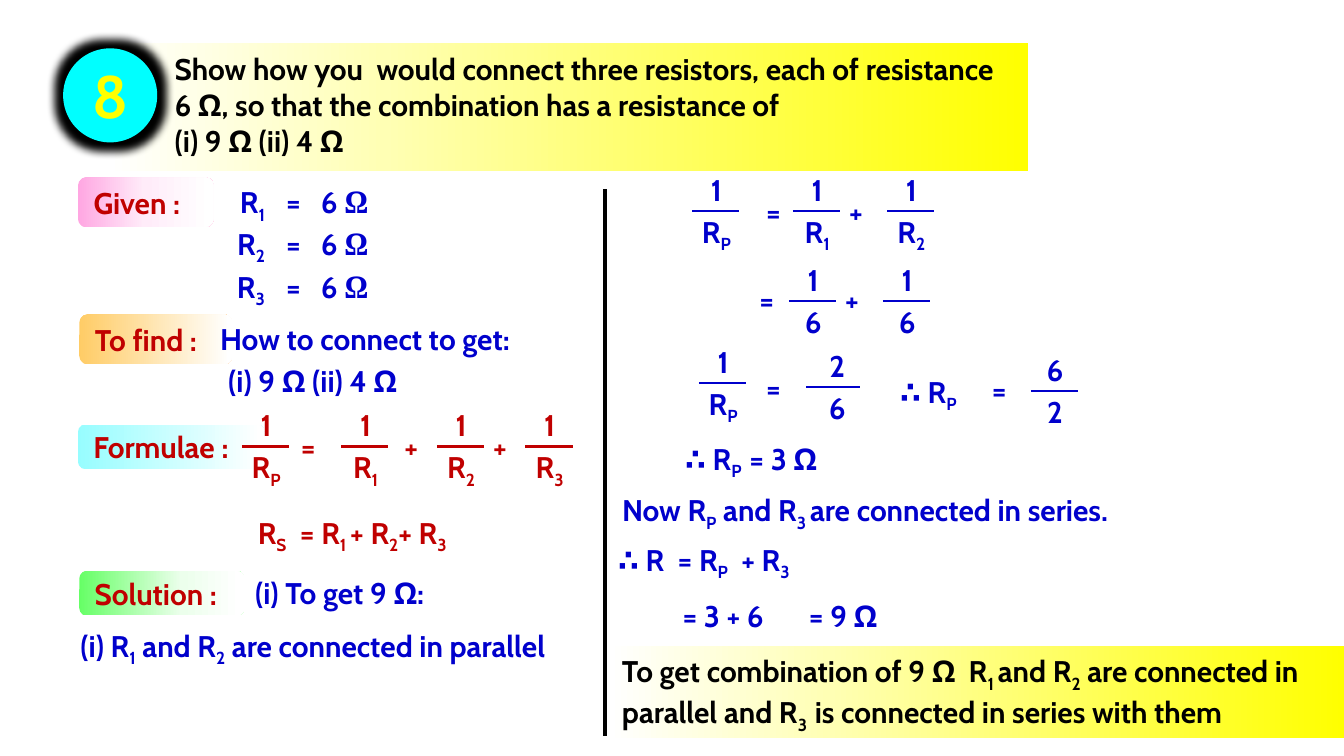
from lxml.etree import SubElement
from pptx import Presentation
from pptx.dml.color import RGBColor
from pptx.enum.shapes import MSO_CONNECTOR, MSO_SHAPE
from pptx.enum.text import MSO_ANCHOR, MSO_AUTO_SIZE, PP_ALIGN
from pptx.oxml.ns import qn
from pptx.util import Pt

SCALE = 9144
LEFT, MID, RIGHT = PP_ALIGN.LEFT, PP_ALIGN.CENTER, PP_ALIGN.RIGHT
TOP, MIDDLE = MSO_ANCHOR.TOP, MSO_ANCHOR.MIDDLE
OVAL, RECT, ROUND = MSO_SHAPE.OVAL, MSO_SHAPE.RECTANGLE, MSO_SHAPE.ROUNDED_RECTANGLE
BLUE, RED, BLACK, YELLOW = "0000CC", "C00000", "000000", "FFFF00"
LOOK = {"size": Pt(16), "bold": True, "name": "Cabin"}
SUN = [(0, YELLOW), (70, "FFFFB4"), (100, "FFFFFF")]


def px(*nums):
    return [num * SCALE for num in nums]


def tint(target, color):
    target.rgb = RGBColor.from_string(color)


def style(item, look):
    for key, value in look.items():
        setattr(item, key, value)


def add_run(para, words, color, **look):
    run = para.add_run()
    run.text = words
    style(run.font, {**LOOK, **look})
    tint(run.font.color, color)
    return run


def write(para, words, color, align=LEFT, **look):
    para.alignment = align
    for spot, part in enumerate(words.split("|")):
        run = add_run(para, part, color, **look)
        if spot % 2:
            run.font._element.set("baseline", "-25000")


def text(slide, words, x, y, w, color=BLUE, align=LEFT, h=37, **look):
    box = slide.shapes.add_textbox(*px(x, y, w, h))
    frame = box.text_frame
    frame.word_wrap = w > 130
    write(frame.paragraphs[0], words, color, align, **look)
    return frame.paragraphs[0]


def blend(shape, stops, angle=0):
    shape.fill.gradient()
    shape.fill.gradient_angle = angle
    ramp = shape._element.spPr.find(".//" + qn("a:gsLst"))
    for old in list(ramp):
        ramp.remove(old)
    for place, color in stops:
        stop = SubElement(ramp, qn("a:gs"), pos=str(place * 1000))
        SubElement(stop, qn("a:srgbClr"), val=color)


def block(slide, kind, box):
    shape = slide.shapes.add_shape(kind, *px(*box))
    shape.shadow.inherit = False
    shape.line.fill.background()
    return shape


def panel(slide, kind, box, words, color, stops, angle=0, anchor=MIDDLE):
    shape = block(slide, kind, box)
    blend(shape, stops, angle)
    frame = shape.text_frame
    style(frame, {"word_wrap": True, "vertical_anchor": anchor})
    write(frame.paragraphs[0], words, color)


def line(slide, ends, color, width):
    rule = slide.shapes.add_connector(MSO_CONNECTOR.STRAIGHT, *px(*ends))
    tint(rule.line.color, color)
    rule.line.width = Pt(width)
    SubElement(rule._element.spPr, qn("a:effectLst"))


def ratio(slide, over, under, x, y, color=BLUE, w=35):
    text(slide, over, x + w - 38, y - 34, 42, color, MID)
    line(slide, (x, y, x + w, y), color, 1.5)
    text(slide, under, x + w - 38, y - 3, 42, color, MID)


def header(slide):
    title = slide.shapes.title
    style(title, dict(zip(("left", "top", "width", "height"), px(80, 32, 685, 95))))
    blend(title, SUN, 180)
    frame = title.text_frame
    style(frame, {"word_wrap": True, "auto_size": MSO_AUTO_SIZE.NONE,
                  "vertical_anchor": TOP, "margin_left": 50 * SCALE,
                  "margin_right": 20 * SCALE, "margin_top": 6 * SCALE})
    write(frame.paragraphs[0], "Show how you  would connect three resistors, each of "
          "resistance 6 Ω, so that the combination has a resistance of", BLACK)
    write(frame.add_paragraph(), "(i) 9 Ω (ii) 4 Ω", BLACK)


def badge(slide):
    disc = block(slide, OVAL, (47, 36, 70, 70))
    disc.fill.solid()
    tint(disc.fill.fore_color, "00FFFF")
    effect = disc._element.spPr.find(qn("a:effectLst"))
    glow = SubElement(effect, qn("a:glow"), rad="114300")
    SubElement(glow, qn("a:srgbClr"), val=BLACK)
    text(slide, "8", 59, 39, 44, YELLOW, MID, 64, size=Pt(32))


def given(slide):
    for num, y in enumerate((132, 163, 195), 1):
        text(slide, f"R|{num}", 166, y, 41, align=RIGHT)
        para = text(slide, "=\t6 ", 203, y, 88)
        tabs = SubElement(para._p.get_or_add_pPr(), qn("a:tabLst"))
        SubElement(tabs, qn("a:tab"), pos=str(26 * SCALE), algn="l")
        add_run(para, "Ω", BLUE, name="Cambria")


def main():
    deck = Presentation()
    deck.slide_width = 1000 * SCALE
    deck.slide_height = deck.slide_width * 9 // 16
    slide = deck.slides.add_slide(deck.slide_layouts[5])
    header(slide)
    badge(slide)
    for words, box, stops in (
        ("Given :", (58, 132, 101, 37), [(0, "FFA7E2"), (49, "FFECF9")]),
        ("To find :", (59, 234, 114, 37), [(0, "FFCC66")]),
        ("Formulae :", (58, 316, 139, 33), [(0, "97FDFF")]),
        ("Solution :", (59, 425, 123, 33), [(0, "66FF66"), (62, "ECFFEC")]),
    ):
        panel(slide, ROUND, box, words, RED, stops + [(98, "FFFFFF")])
    given(slide)
    line(slide, (450, 141, 450, 548), BLACK, 2.25)

    for under, x in (("R|P", 180), ("R|1", 254), ("R|2", 325), ("R|3", 391)):
        ratio(slide, "1", under, x, 332, RED)
    for over, under, x, y in (
        ("1", "R|P", 515, 157), ("1", "R|1", 590, 157), ("1", "R|2", 660, 157),
        ("1", "6", 587, 224), ("1", "6", 657, 224),
        ("1", "R|P", 520, 285), ("6", "2", 767, 291),
    ):
        ratio(slide, over, under, x, y)
    ratio(slide, "2", "6", 600, 288, w=40)

    for sign, x in (("=", 214), ("+", 291), ("+", 357)):
        text(slide, sign, x, 314, 35, RED)
    for x, y in ((622, 139), (619, 205)):
        text(slide, "+", x, y, 35)
    for x, y in ((558, 139), (553, 205), (558, 270), (726, 272)):
        text(slide, "=", x, y, 35, align=MID)

    text(slide, "R|S|  = R|1 |+ R|2|+ R|3", 182, 378, 182, RED)
    for words, x, y, w in (
        ("How to connect to get:", 154, 234, 270),
        ("(i) 9 Ω (ii) 4 Ω", 160, 265, 224),
        ("(i) To get 9 Ω:", 180, 423, 163),
        ("(i) R|1| and R|2| are connected in parallel", 50, 462, 408),
        ("∴ R|P", 660, 273, 67),
        ("∴ R|P  |= 3 Ω", 500, 323, 131),
        ("Now R|P| and R|3 |are connected in series.", 453, 361, 439),
        ("∴ R  = R|P|  + R|3", 450, 398, 162),
        ("= 3 + 6", 498, 440, 92),
        ("= 9 Ω", 592, 440, 81),
    ):
        text(slide, words, x, y, w)
    panel(slide, RECT, (453, 481, 547, 68),
          "To get combination of 9 Ω  R|1 |and R|2| are connected in parallel "
          "and R|3  |is connected in series with them", BLACK, SUN, 180, TOP)
    deck.save("out.pptx")


if __name__ == "__main__":
    main()
